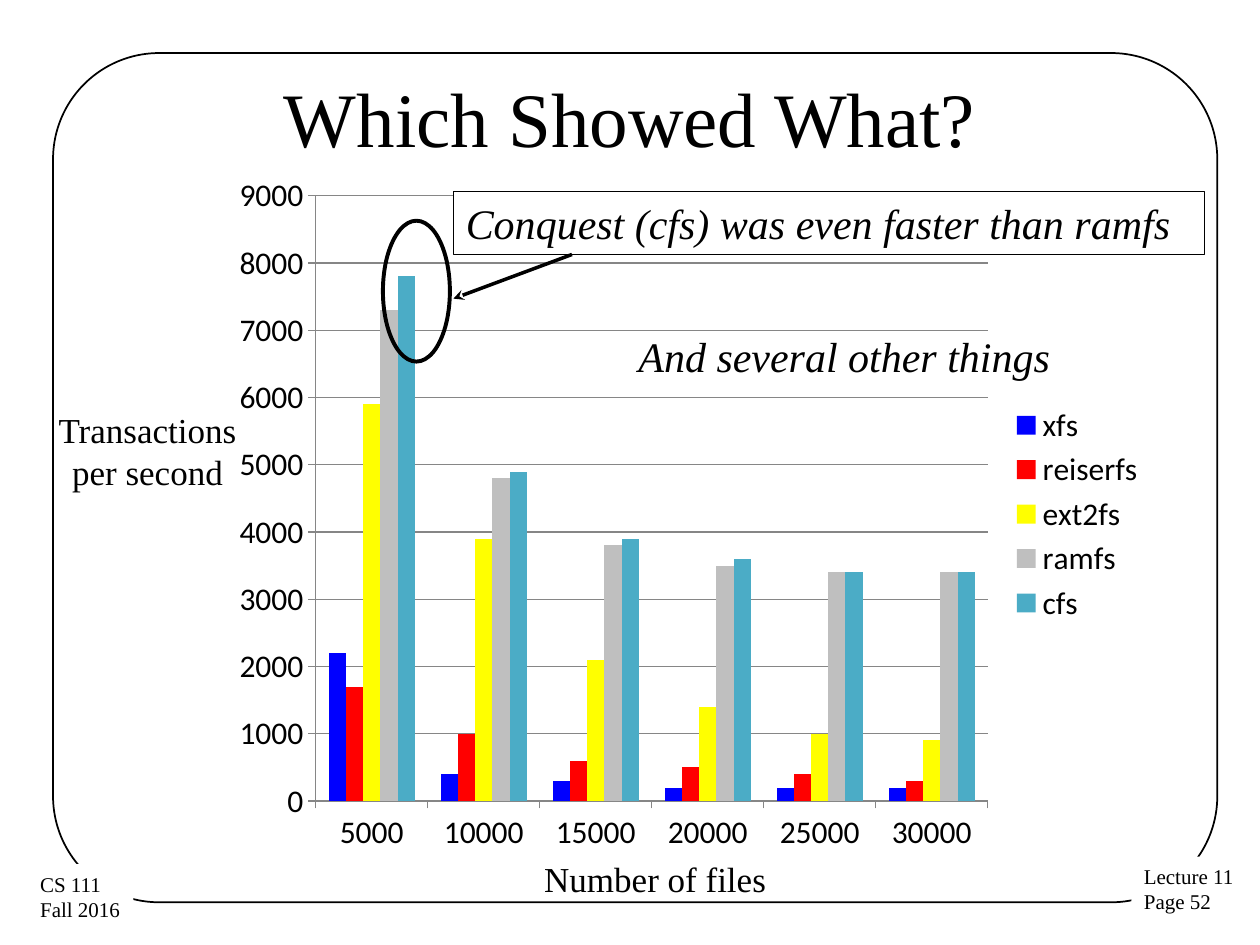
from lxml.etree import SubElement
from pptx import Presentation
from pptx.chart.data import CategoryChartData
from pptx.dml.color import RGBColor
from pptx.enum.chart import XL_CHART_TYPE, XL_LEGEND_POSITION, XL_TICK_MARK
from pptx.enum.shapes import MSO_CONNECTOR, MSO_SHAPE
from pptx.enum.text import MSO_ANCHOR, PP_ALIGN
from pptx.oxml.ns import qn
from pptx.util import Cm, Pt

COLORS = {
    "ink": "000000",
    "paper": "FFFFFF",
    "grid": "868686",
    "xfs": "0000FF",
    "reiserfs": "FF0000",
    "ext2fs": "FFFF00",
    "ramfs": "BFBFBF",
    "cfs": "4BACC6",
}
FILE_COUNTS = ["5000", "10000", "15000", "20000", "25000", "30000"]
TRANSACTIONS = {
    "xfs": [2200, 400, 300, 200, 200, 200],
    "reiserfs": [1700, 1000, 600, 500, 400, 300],
    "ext2fs": [5900, 3900, 2100, 1400, 1000, 900],
    "ramfs": [7300, 4800, 3800, 3500, 3400, 3400],
    "cfs": [7800, 4900, 3900, 3600, 3400, 3400],
}


def color(name):
    return RGBColor.from_string(COLORS[name])


def add_outline(page, kind, place, width):
    shape = page.shapes.add_shape(kind, *map(Cm, place))
    shape.shadow.inherit = False
    shape.fill.background()
    shape.line.color.rgb = color("ink")
    shape.line.width = Pt(width)
    return shape


def add_text(page, place, lines, size, align=PP_ALIGN.LEFT, italic=False,
             wrap=False, filled=False, border=None):
    box = page.shapes.add_textbox(*map(Cm, place))
    if filled:
        box.fill.solid()
        box.fill.fore_color.rgb = color("paper")
    if border:
        box.line.color.rgb = color("ink")
        box.line.width = Pt(border)
    frame = box.text_frame
    frame.word_wrap = wrap
    frame.vertical_anchor = MSO_ANCHOR.MIDDLE
    frame.text = "\n".join(lines)
    for para in frame.paragraphs:
        para.alignment = align
        para.font.name = "Times New Roman"
        para.font.size = Pt(size)
        para.font.italic = italic
        para.font.color.rgb = color("ink")


def add_arrow(page, start, end, width):
    arrow = page.shapes.add_connector(
        MSO_CONNECTOR.STRAIGHT, *map(Cm, start + end))
    arrow.line.color.rgb = color("ink")
    arrow.line.width = Pt(width)
    SubElement(arrow.line._get_or_add_ln(), qn("a:tailEnd"), type="stealth")
    SubElement(arrow._element.spPr, qn("a:effectLst"))


def style_axis(axis):
    axis.major_tick_mark = XL_TICK_MARK.OUTSIDE
    axis.minor_tick_mark = XL_TICK_MARK.NONE
    axis.tick_labels.font.size = Pt(18)
    axis.format.line.color.rgb = color("grid")


def add_column_chart(page, place):
    data = CategoryChartData(number_format="General")
    data.categories = FILE_COUNTS
    for name, values in TRANSACTIONS.items():
        data.add_series(name, values)
    chart = page.shapes.add_chart(
        XL_CHART_TYPE.COLUMN_CLUSTERED, *map(Cm, place), data).chart
    chart.has_title = False
    chart.font.name = "Calibri"
    chart.font.size = Pt(10)
    chart.font.color.rgb = color("ink")
    chart.has_legend = True
    chart.legend.position = XL_LEGEND_POSITION.RIGHT
    chart.legend.include_in_layout = False
    chart.legend.font.size = Pt(18)
    style_axis(chart.category_axis)
    style_axis(chart.value_axis)
    chart.value_axis.minimum_scale = 0
    chart.value_axis.maximum_scale = 9000
    chart.value_axis.major_unit = 1000
    chart.value_axis.has_major_gridlines = True
    chart.value_axis.major_gridlines.format.line.color.rgb = color("grid")
    plot = chart.plots[0]
    plot.gap_width = 150
    plot.overlap = 0
    plot.vary_by_categories = False
    for series in plot.series:
        series.invert_if_negative = False
        series.format.fill.solid()
        series.format.fill.fore_color.rgb = color(series.name)


def main():
    deck = Presentation()
    deck.slide_width, deck.slide_height = Cm(25.4), Cm(19.05)
    page = deck.slides.add_slide(deck.slide_layouts[6])

    frame = add_outline(
        page, MSO_SHAPE.ROUNDED_RECTANGLE, (1.07, 1.07, 23.47, 17.12), 1)
    frame.adjustments[0] = 0.125
    add_text(page, (22.81, 17.27, 2.34, 1.3), ["Lecture 11", "Page 52"], 12,
             filled=True)
    add_text(page, (0.56, 17.42, 2.13, 1.3), ["CS 111", "Fall 2016"], 12,
             filled=True)
    add_text(page, (1.27, 0.76, 22.86, 3.18), ["Which Showed What?"], 44,
             align=PP_ALIGN.CENTER, wrap=True)

    add_column_chart(page, (4.45, 3.28, 18.9, 14.17))
    add_text(page, (10.72, 17.15, 5.05, 1.12), ["Number of files"], 20)
    add_text(page, (0.79, 8.1, 4.37, 1.96), ["Transactions per second"], 20,
             align=PP_ALIGN.CENTER, wrap=True)

    add_text(page, (9.14, 3.86, 15.14, 1.27),
             ["Conquest (cfs) was even faster than ramfs"], 24,
             italic=True, filled=True, border=0.75)
    add_arrow(page, (11.53, 5.13), (9.14, 6.02), 2)
    add_outline(page, MSO_SHAPE.OVAL, (7.72, 4.45, 1.35, 2.84), 2.25)
    add_text(page, (12.62, 6.53, 9.22, 1.27), ["And several other things"],
             24, italic=True)

    deck.save("out.pptx")


if __name__ == "__main__":
    main()
